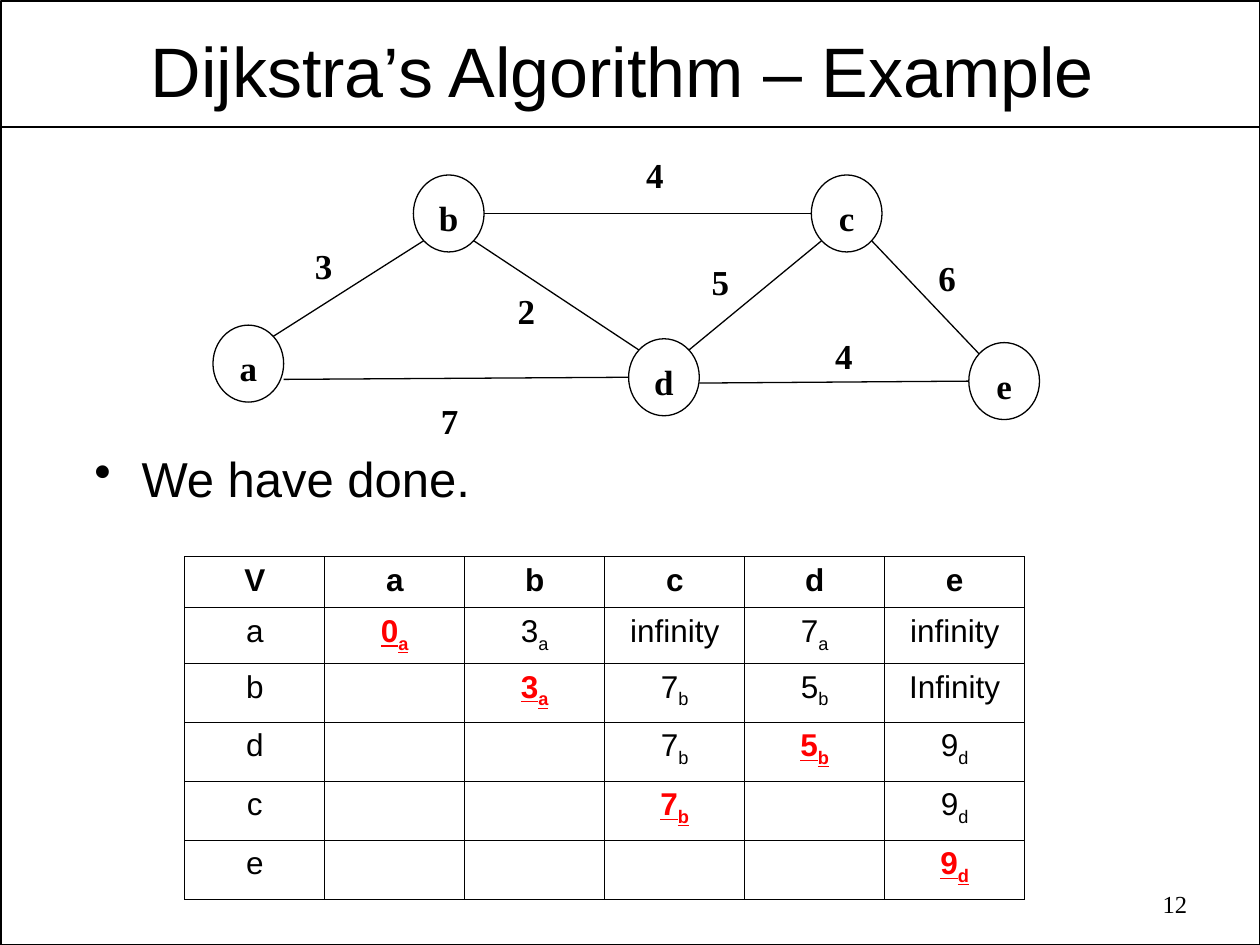
"""Build the slide showing a finished run of Dijkstra's algorithm."""
from pptx import Presentation
from pptx.dml.color import RGBColor
from pptx.enum.shapes import MSO_CONNECTOR, MSO_SHAPE
from pptx.enum.text import MSO_ANCHOR, PP_ALIGN
from pptx.oxml import parse_xml
from pptx.oxml.ns import nsdecls, qn
from pptx.util import Pt

TITLE = "Dijkstra’s Algorithm – Example"
REMARK = "We have done."
PAGE_NUMBER = "12"
BLACK, RED = "000000", "FF0000"
SANS, SERIF = "Arial", "Times New Roman"

NODE_SIZE = (40.4, 44)
NODES = {"a": (121.7, 185.8), "b": (236.2, 100), "c": (463.6, 100),
         "d": (359.2, 193.6), "e": (553.6, 195.8)}
DIAGONAL = 0.71
EDGES = [
    ("a", (1, 0.41), "d", (-1, 0), "7", (244.8, 224.6)),
    ("d", (1, 0.15), "e", (-1, 0), "4", (470.2, 187.8)),
    ("b", (1, 0), "c", (-1, 0), "4", (362.2, 84.2)),
    ("a", (DIAGONAL, -DIAGONAL), "b", (-DIAGONAL, DIAGONAL), "3", (172.8, 136)),
    ("d", (DIAGONAL, -DIAGONAL), "c", (-DIAGONAL, DIAGONAL), "5", (399.6, 145.4)),
    ("b", (DIAGONAL, DIAGONAL), "d", (-DIAGONAL, -DIAGONAL), "2", (288.7, 162)),
    ("c", (DIAGONAL, DIAGONAL), "e", (-DIAGONAL, -DIAGONAL), "6", (529.2, 143.2)),
]

DISTANCES = [
    ["V", "a", "b", "c", "d", "e"],
    ["a", "0_a*", "3_a", "infinity", "7_a", "infinity"],
    ["b", "", "3_a*", "7_b", "5_b", "Infinity"],
    ["d", "", "", "7_b", "5_b*", "9_d"],
    ["c", "", "", "7_b*", "", "9_d"],
    ["e", "", "", "", "", "9_d*"],
]
COLUMN_WIDTH = 80
ROW_HEIGHTS = [29.2, 31.4] + [33.7] * 4


def color(value):
    return RGBColor.from_string(value)


def style_run(run, size, font, fill=BLACK, bold=False):
    run.font.size = Pt(size)
    run.font.name = font
    run.font.bold = bold
    run.font.color.rgb = color(fill)


def write(frame, text, size, font, align=PP_ALIGN.LEFT, bold=False):
    frame.text = text
    paragraph = frame.paragraphs[0]
    paragraph.alignment = align
    style_run(paragraph.runs[0], size, font, bold=bold)
    return paragraph


def add_text(slide, box, text, size, font, align=PP_ALIGN.LEFT, bold=False, wrap=True):
    frame = slide.shapes.add_textbox(*map(Pt, box)).text_frame
    frame.word_wrap = wrap
    write(frame, text, size, font, align, bold)
    return frame


def add_outline(slide, preset, box, width):
    outline = slide.shapes.add_shape(preset, *map(Pt, box))
    outline.shadow.inherit = False
    outline.fill.background()
    outline.line.color.rgb = color(BLACK)
    outline.line.width = Pt(width)
    return outline


def add_line(slide, start, end, width):
    line = slide.shapes.add_connector(MSO_CONNECTOR.STRAIGHT, *map(Pt, start + end))
    line.line.color.rgb = color(BLACK)
    line.line.width = Pt(width)
    line._element.spPr.append(parse_xml(f"<a:effectLst {nsdecls('a')}/>"))


def rim_point(node, direction):
    return tuple(corner + extent / 2 * (1 + offset)
                 for corner, extent, offset in zip(NODES[node], NODE_SIZE, direction))


def add_graph(slide):
    for source, leaving, target, entering, weight, place in EDGES:
        add_line(slide, rim_point(source, leaving), rim_point(target, entering), 0.75)
        add_text(slide, place + (24.5, 31.6), weight, 20, SERIF, bold=True, wrap=False)
    for node, corner in NODES.items():
        circle = add_outline(slide, MSO_SHAPE.OVAL, corner + NODE_SIZE, 0.75)
        frame = circle.text_frame
        frame.margin_left = frame.margin_right = frame.margin_bottom = 0
        frame.margin_top = Pt(5)
        frame.vertical_anchor = MSO_ANCHOR.MIDDLE
        frame.word_wrap = False
        write(frame, node, 20, SERIF, PP_ALIGN.CENTER, True)


def add_borders(cell):
    properties = cell._tc.get_or_add_tcPr()
    for position, side in enumerate(("lnL", "lnR", "lnT", "lnB")):
        properties.insert(position, parse_xml(
            f'<a:{side} {nsdecls("a")} w="{Pt(0.45)}"><a:solidFill>'
            f'<a:srgbClr val="{BLACK}"/></a:solidFill></a:{side}>'))


def fill_cell(cell, entry, heading):
    settled = entry.endswith("*")
    value, _, predecessor = entry.rstrip("*").partition("_")
    paragraph = cell.text_frame.paragraphs[0]
    paragraph.alignment = PP_ALIGN.CENTER
    for text, baseline in ((value, 0), (predecessor, -25000)):
        if text:
            run = paragraph.add_run()
            run.text = text
            style_run(run, 18, SANS, RED if settled else BLACK, heading or settled)
            run.font.underline = settled
            run._r.get_or_add_rPr().set("baseline", str(baseline))
    cell.fill.background()
    add_borders(cell)


def add_distances(slide):
    columns = len(DISTANCES[0])
    table = slide.shapes.add_table(
        len(DISTANCES), columns, Pt(105.6), Pt(318),
        Pt(COLUMN_WIDTH * columns), Pt(sum(ROW_HEIGHTS))).table
    table.first_row = table.horz_banding = False
    for column in table.columns:
        column.width = Pt(COLUMN_WIDTH)
    for index, (entries, height) in enumerate(zip(DISTANCES, ROW_HEIGHTS)):
        table.rows[index].height = Pt(height)
        for cell, entry in zip(table.rows[index].cells, entries):
            fill_cell(cell, entry, index == 0)


def add_remark(slide):
    frame = add_text(slide, (46.8, 256.3, 660, 50), REMARK, 28, SANS)
    frame.margin_top = 0
    paragraph = frame.paragraphs[0]
    paragraph.space_before = Pt(7)
    properties = paragraph._p.get_or_add_pPr()
    properties.set("marL", str(Pt(27)))
    properties.set("indent", str(Pt(-27)))
    bullet = parse_xml(f'<a:buChar {nsdecls("a")} char="•"/>')
    properties.find(qn("a:spcBef")).addnext(bullet)


def main():
    deck = Presentation()
    deck.slide_width, deck.slide_height = Pt(720), Pt(540)
    slide = deck.slides.add_slide(deck.slide_layouts[6])
    add_outline(slide, MSO_SHAPE.RECTANGLE, (0.7, 0.7, 719.3, 539.3), 1)
    add_line(slide, (0.7, 72.7), (719.3, 72.7), 1)
    title = add_text(slide, (38.2, 13.7, 645.8, 51.8), TITLE, 40, SANS, PP_ALIGN.CENTER)
    title.margin_left, title.margin_right = Pt(5), Pt(16)
    title.margin_top = title.margin_bottom = Pt(2)
    title.vertical_anchor = MSO_ANCHOR.MIDDLE
    add_remark(slide)
    add_text(slide, (517, 504.7, 168.5, 26), PAGE_NUMBER, 14, SERIF, PP_ALIGN.RIGHT)
    add_graph(slide)
    add_distances(slide)
    deck.save("out.pptx")


if __name__ == "__main__":
    main()
